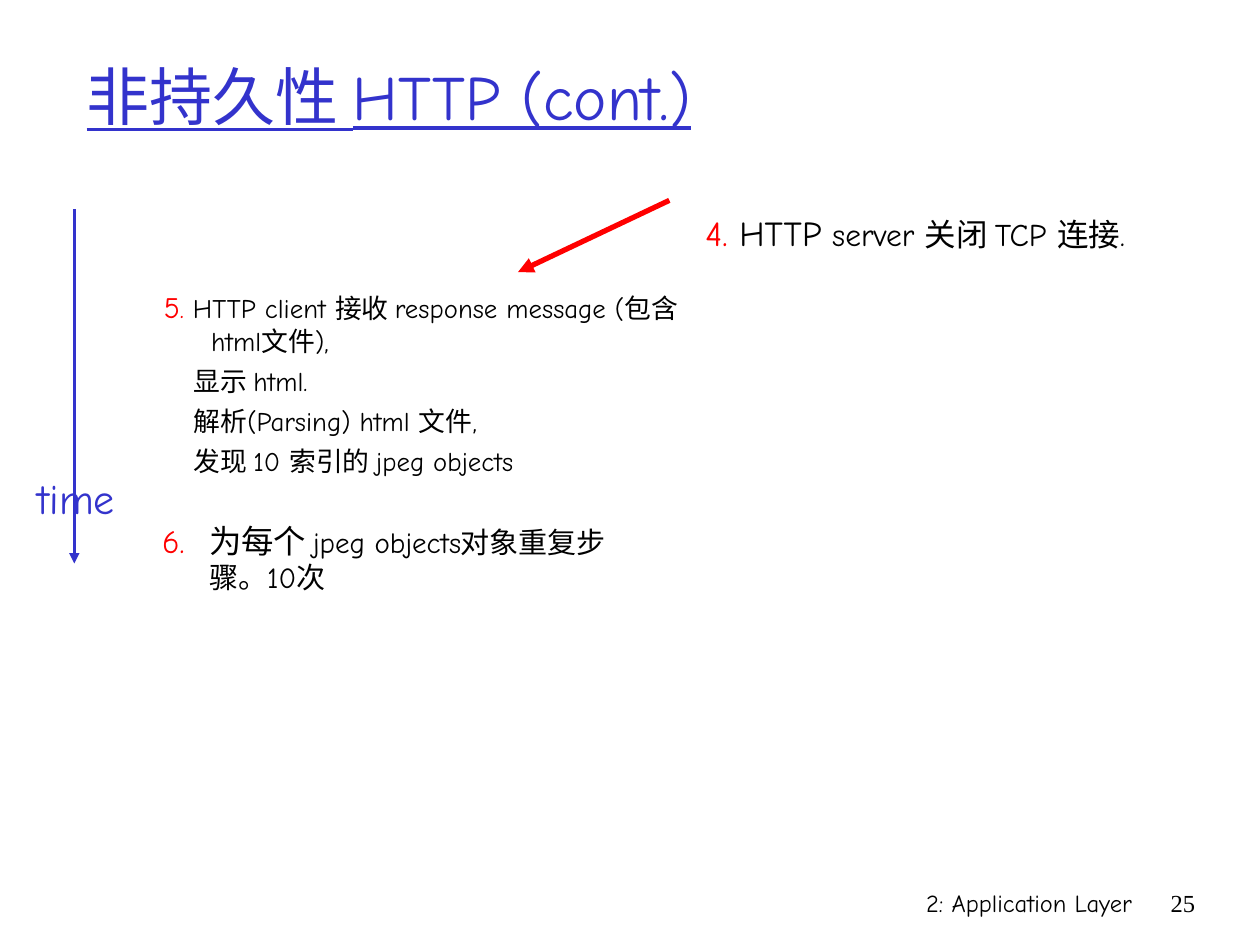
import pptx
import pptx.util
import pptx.dml.color
import pptx.enum.shapes
import pptx.enum.text
import pptx.oxml.ns
from lxml import etree

Pt = pptx.util.Pt
RGB = pptx.dml.color.RGBColor
ALIGN = pptx.enum.text.PP_ALIGN
ANCHOR = pptx.enum.text.MSO_ANCHOR
qn = pptx.oxml.ns.qn

BLACK = RGB(0x00, 0x00, 0x00)
BLUE = RGB(0x33, 0x33, 0xCC)
RED = RGB(0xFF, 0x00, 0x00)
COMIC = "Comic Neue"
TIMES = "Times New Roman"
HANGING = 27


def add_text(slide, box, paragraphs, align=ALIGN.LEFT, anchor=ANCHOR.TOP,
             font=COMIC, underline=None):
    frame = slide.shapes.add_textbox(*map(Pt, box)).text_frame
    frame.word_wrap = True
    frame.vertical_anchor = anchor
    for index, (left, first, runs) in enumerate(paragraphs):
        paragraph = frame.add_paragraph() if index else frame.paragraphs[0]
        paragraph.alignment = align
        if index:
            paragraph.space_before = Pt(4.5)
        properties = paragraph._p.get_or_add_pPr()
        properties.set("marL", str(Pt(left)))
        properties.set("indent", str(Pt(first)))
        for words, size, color in runs:
            run = paragraph.add_run()
            run.text = words
            run.font.name = font
            run.font.size = Pt(size)
            run.font.color.rgb = color
            run.font.underline = underline


def add_arrow(slide, start, end, color, width):
    arrow = slide.shapes.add_connector(
        pptx.enum.shapes.MSO_CONNECTOR.STRAIGHT, *map(Pt, start + end))
    arrow.line.color.rgb = color
    arrow.line.width = Pt(width)
    etree.SubElement(arrow.line._get_or_add_ln(), qn("a:tailEnd"), type="triangle")
    etree.SubElement(arrow._element.spPr, qn("a:effectLst"))


def add_title(slide, box):
    title = [("非持久性 HTTP (cont.)", 36, BLUE)]
    add_text(slide, box, [(0, 0, title)], anchor=ANCHOR.MIDDLE, underline=True)


def add_timeline(slide, box):
    left, top, width, height = box
    axis = left + width / 2 - 1
    add_arrow(slide, (axis, top), (axis, top + height), BLUE, 1.5)
    label = [("time", 24, BLUE)]
    add_text(slide, (left, top + 147, width, 36), [(0, 0, label)],
             align=ALIGN.CENTER)


def add_client_steps(slide, box):
    left, top, width, height = box
    receive = [("5", 17, RED), (".", 15.3, RED),
               (" HTTP client 接收 response message (包含html文件),", 15.3, BLACK)]
    details = ["显示 html.", "解析(Parsing) html 文件,", "发现 10 索引的 jpeg objects"]
    add_text(slide, (left, top, width, 121),
             [(HANGING, -HANGING, receive)]
             + [(HANGING, -10, [(detail, 15.3, BLACK)]) for detail in details])
    repeat = [("6.\t", 18.5, RED), ("为每个", 18.5, BLACK),
              (" jpeg objects对象重复步骤。10次", 16.6, BLACK)]
    add_text(slide, (left - 1, top + height - 53, 284, 53),
             [(HANGING, -HANGING, repeat)])


def add_server_step(slide, box):
    close = [("4.", 20, RED), (" HTTP", 20, BLACK),
             (" server 关闭 TCP 连接.", 18, BLACK)]
    add_text(slide, box, [(HANGING, -HANGING, close)])


def add_footer(slide, box):
    left, top, width, height = box
    number_width = 36
    chapter_width = width - number_width
    add_text(slide, (left, top, chapter_width, height),
             [(0, 0, [("2: Application Layer", 14, BLACK)])], align=ALIGN.RIGHT)
    add_text(slide, (left + chapter_width, top, number_width, height),
             [(0, 0, [("25", 14, BLACK)])], align=ALIGN.RIGHT, font=TIMES)


def main():
    deck = pptx.Presentation()
    deck.slide_width, deck.slide_height = Pt(720), Pt(540)
    slide = deck.slides.add_slide(deck.slide_layouts[6])
    add_footer(slide, (426, 504, 264, 36))
    add_title(slide, (42.5, 20, 612, 68.5))
    add_client_steps(slide, (86.5, 161.5, 321, 185.5))
    add_server_step(slide, (396, 117.5, 300, 57.5))
    add_timeline(slide, (7.5, 119.5, 72, 202.5))
    add_arrow(slide, (382.5, 114.5), (296, 155.5), RED, 3)
    deck.save("out.pptx")


if __name__ == "__main__":
    main()
